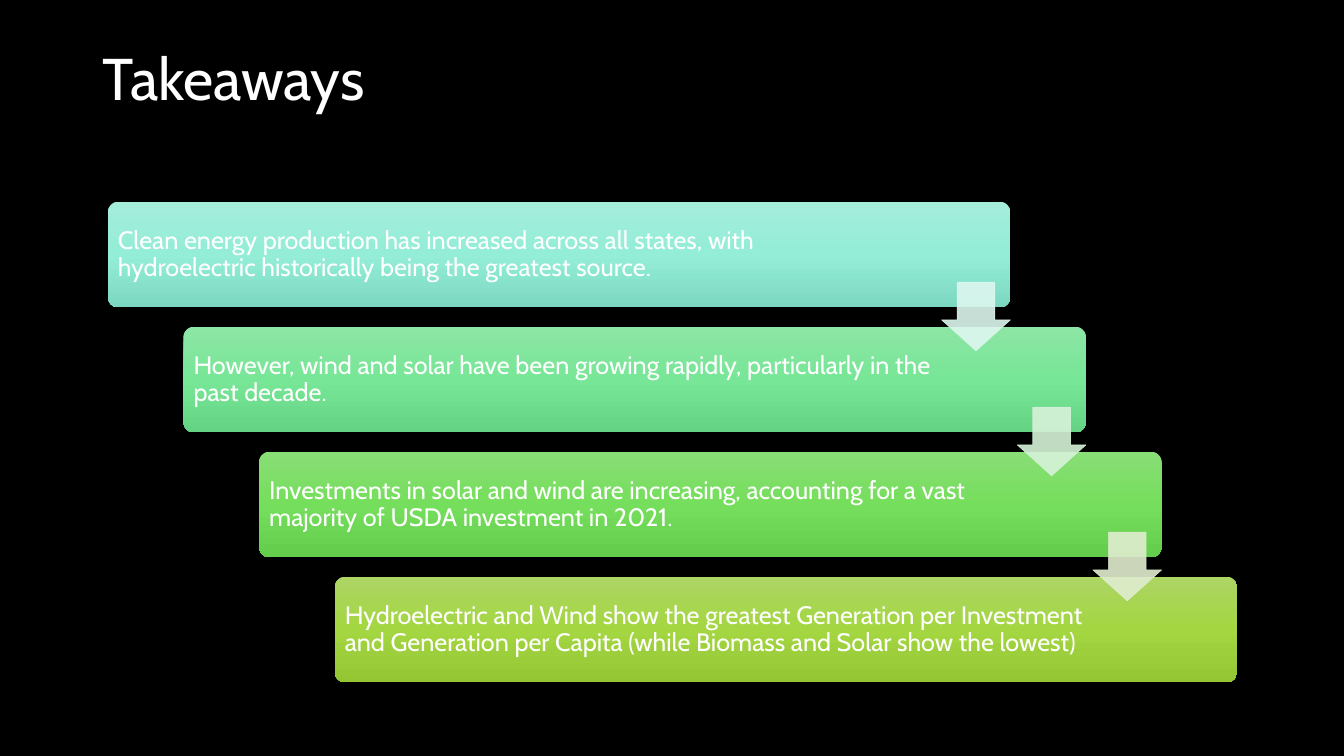
from copy import deepcopy
from dataclasses import dataclass

from lxml.etree import SubElement as SubEl
from pptx import Presentation
from pptx.dml.color import RGBColor as Rgb
from pptx.enum.shapes import MSO_SHAPE as Kind
from pptx.enum.text import MSO_ANCHOR as Anchor
from pptx.oxml.ns import qn
from pptx.util import Inches, Pt


@dataclass(frozen=True)
class Theme:
    font: str = "Cabin"
    back: str = "000000"
    ink: str = "FFFFFF"
    title: int = 42
    body: int = 18
    # Top, middle and bottom colour of each card
    cards: tuple = (
        ("A4EDDB", "93EDD7", "7DD8C2"),
        ("8DE6A5", "77E697", "64D383"),
        ("89DE77", "75DE5C", "64CD4B"),
        ("ACD564", "A4D642", "94C533"),
    )
    arrows: tuple = ("DDF7EF", "D6F2D8", "E0EDCF")


class Painter:
    def __init__(self, slide, theme):
        self.slide = slide
        self.theme = theme
        fill = slide.background.fill
        fill.solid()
        fill.fore_color.rgb = Rgb.from_string(theme.back)

    def shape(self, kind, box, *adjust):
        shape = self.slide.shapes.add_shape(kind, *map(Inches, box))
        shape.shadow.inherit = False
        for index, value in enumerate(adjust):
            shape.adjustments[index] = value
        return shape

    def text(self, words, box, size, anchor, pads):
        frame = self.slide.shapes.add_textbox(*map(Inches, box)).text_frame
        frame.word_wrap = True
        frame.vertical_anchor = anchor
        (frame.margin_left, frame.margin_top,
         frame.margin_right, frame.margin_bottom) = map(Inches, pads)
        para = frame.paragraphs[0]
        para.text = words
        para.line_spacing = 0.9
        para.font.name = self.theme.font
        para.font.size = Pt(size)
        para.font.color.rgb = Rgb.from_string(self.theme.ink)

    def card(self, box, tones):
        card = self.shape(Kind.ROUNDED_RECTANGLE, box, 0.1)
        card.line.fill.background()
        fill = card.fill
        fill.gradient()
        fill.gradient_angle = 270
        # A third stop for the middle tone
        stops = card.element.spPr.find(".//" + qn("a:gsLst"))
        stops.insert(1, deepcopy(stops[0]))
        for stop, tone, place in zip(fill.gradient_stops, tones, (0, 0.5, 1)):
            stop.color.rgb = Rgb.from_string(tone)
            stop.position = place

    def arrow(self, box, tone):
        arrow = self.shape(Kind.DOWN_ARROW, box, 0.55, 0.45)
        arrow.line.width = Pt(0.5)
        for fill in (arrow.fill, arrow.line.fill):
            fill.solid()
            fill.fore_color.rgb = Rgb.from_string(tone)
        # Slight transparency on fill and line
        for color in arrow.element.spPr.iter(qn("a:srgbClr")):
            SubEl(color, qn("a:alpha")).set("val", "90000")


POINTS = (
    "Clean energy production has increased across all states, with "
    "hydroelectric historically being the greatest source.",
    "However, wind and solar have been growing rapidly, particularly in the "
    "past decade.",
    "Investments in solar and wind are increasing, accounting for a vast "
    "majority of USDA investment in 2021.",
    "Hydroelectric and Wind show the greatest Generation per Investment and "
    "Generation per Capita (while Biomass and Solar show the lowest)",
)
LEFT, TOP = 1.07, 2
WIDE, HIGH = 8.95, 1.05
RIGHT, DOWN = 0.75, 1.24  # shift from one card to the next
EDGE, PAD = 0.03, 0.07
SIDE, DROP = 0.68, 0.8  # arrow size and its offset below the card's top


def main():
    deck = Presentation()
    deck.slide_width, deck.slide_height = Inches(13.33), Inches(7.5)
    theme = Theme()
    paint = Painter(deck.slides.add_slide(deck.slide_layouts[6]), theme)

    # Title
    paint.text("Takeaways", (0.92, 0.4, 11.5, 1.45), theme.title,
               Anchor.TOP, (0.1, 0.09, 0.1, 0.05))

    # Staircase of cards
    spots = [(LEFT + i * RIGHT, TOP + i * DOWN) for i in range(len(POINTS))]
    for i, ((x, y), words) in enumerate(zip(spots, POINTS)):
        paint.card((x, y, WIDE, HIGH), theme.cards[i])
        width = 7.46 if i else 7.73
        paint.text(words, (x + EDGE, y + EDGE, width, HIGH - 2 * EDGE),
                   theme.body, Anchor.MIDDLE, (PAD,) * 4)

    # Arrows from each card to the next
    for (x, y), tone in zip(spots, theme.arrows):
        paint.arrow((x + WIDE - SIDE, y + DROP, SIDE, SIDE), tone)

    deck.save("out.pptx")


if __name__ == "__main__":
    main()
